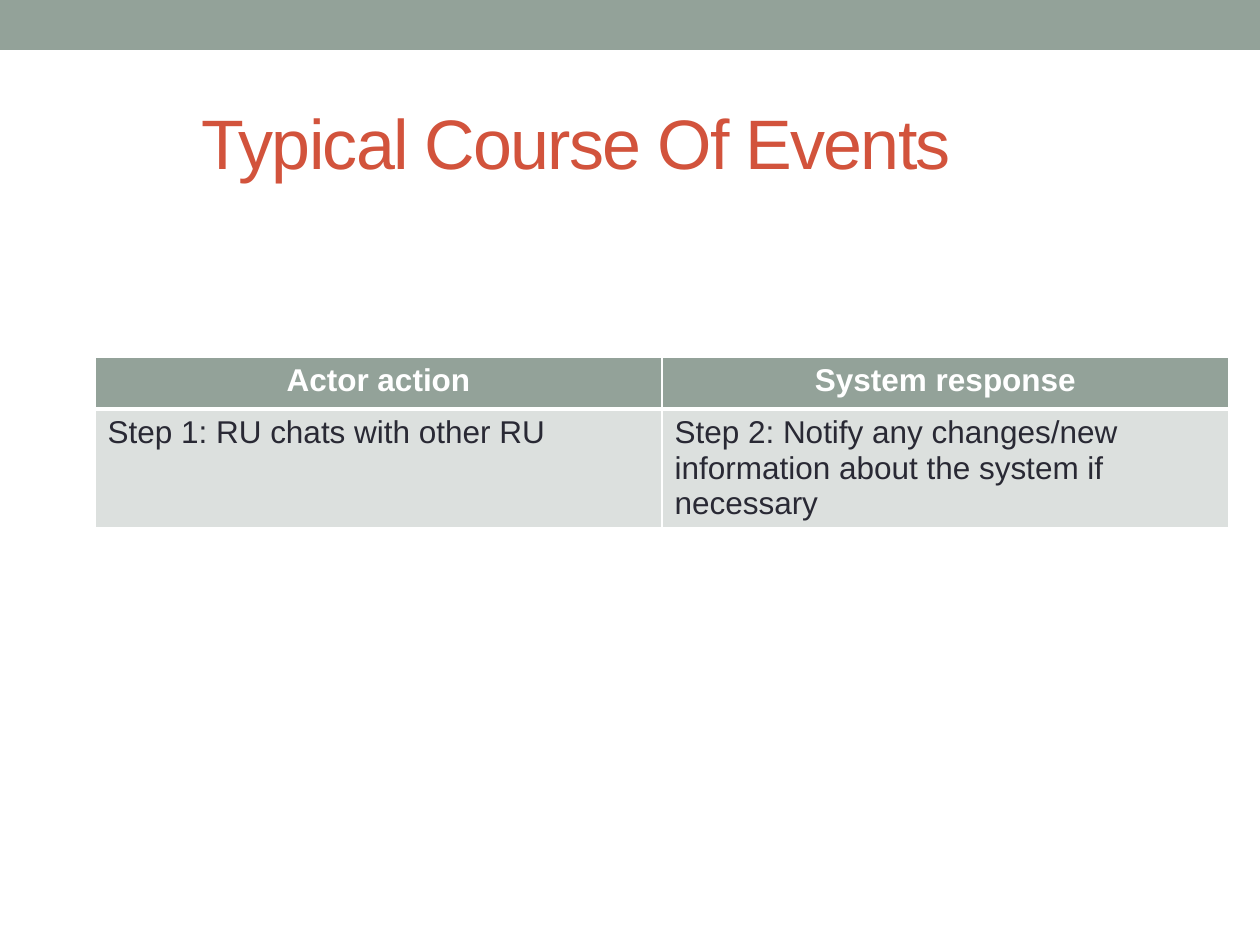
"""Build the slide on the typical course of events."""
from typing import NamedTuple

from lxml.etree import SubElement as Sub
from pptx import Presentation
from pptx.dml.color import RGBColor as Rgb
from pptx.enum.shapes import MSO_SHAPE as Kind
from pptx.enum.text import MSO_ANCHOR as Anchor, MSO_AUTO_SIZE as Fit, PP_ALIGN as Align
from pptx.oxml.ns import qn
from pptx.util import Emu, Pt

PX = 914400 // 126
HUES = {"sage": "93A299", "pale": "DCE0DE", "rust": "D2533C",
        "ink": "292934", "white": "FFFFFF"}


class Row(NamedTuple):
    """Cell texts of one table row with their look."""
    texts: tuple[str, str]
    fill: str
    hue: str
    bold: bool
    align: Align
    base: int


ROWS = (
    Row(("Actor action", "System response"), "sage", "white", True, Align.CENTER, 3),
    Row(("Step 1: RU chats with other RU",
         "Step 2: Notify any changes/new information about the system if necessary"),
        "pale", "ink", False, Align.LEFT, 1),
)


def px(num: int) -> Emu:
    """Turn pixels into EMU."""
    return Emu(num * PX)


def paint(item, hue: str) -> None:
    """Give a shape or cell a solid fill."""
    item.fill.solid()
    item.fill.fore_color.rgb = Rgb.from_string(HUES[hue])


def write(frame, text: str, *, size: int, hue: str, bold: bool = False,
          align: Align = Align.LEFT, indent: int = 0, track: int = 0) -> None:
    """Put formatted text into a text frame."""
    para = frame.paragraphs[0]
    para.alignment = align
    if indent:
        props = para._p.get_or_add_pPr()
        props.set("marL", str(px(indent)))
        props.set("indent", "0")
    run = para.add_run()
    run.text = text
    font = run.font
    font.name, font.size, font.bold = "Arial", Pt(size), bold
    font.color.rgb = Rgb.from_string(HUES[hue])
    if track:
        run._r.get_or_add_rPr().set("spc", str(track * 100))


def edge(cell, base: int) -> None:
    """Draw white cell borders, the bottom one base points wide."""
    props = cell._tc.get_or_add_tcPr()
    for side, wide in (("L", 1), ("R", 1), ("T", 1), ("B", base)):
        line = Sub(props, qn(f"a:ln{side}"), w=str(Pt(wide)))
        Sub(Sub(line, qn("a:solidFill")), qn("a:srgbClr"), val=HUES["white"])


def grid(slide, rows: tuple[Row, ...]) -> None:
    """Add the table of steps."""
    table = slide.shapes.add_table(len(rows), 2, px(95), px(357), px(1134), px(104)).table
    for i, row in enumerate(rows):
        for j, text in enumerate(row.texts):
            cell = table.cell(i, j)
            edge(cell, row.base)
            paint(cell, row.fill)
            write(cell.text_frame, text, size=18, hue=row.hue,
                  bold=row.bold, align=row.align)


def main() -> None:
    """Build and save the deck."""
    deck = Presentation()
    deck.slide_width, deck.slide_height = px(1260), px(945)
    slide = deck.slides.add_slide(deck.slide_layouts[5])
    band = slide.shapes.add_shape(Kind.RECTANGLE, 0, 0, px(1260), px(50))
    band.shadow.inherit = False
    band.line.fill.background()
    paint(band, "sage")
    title = slide.shapes.title
    title.left, title.top, title.width, title.height = map(px, (63, 73, 1134, 136))
    frame = title.text_frame
    frame.auto_size, frame.vertical_anchor = Fit.NONE, Anchor.MIDDLE
    write(frame, "Typical Course Of Events", size=40, hue="rust", indent=126, track=-1)
    grid(slide, ROWS)
    deck.save("out.pptx")


if __name__ == "__main__":
    main()
